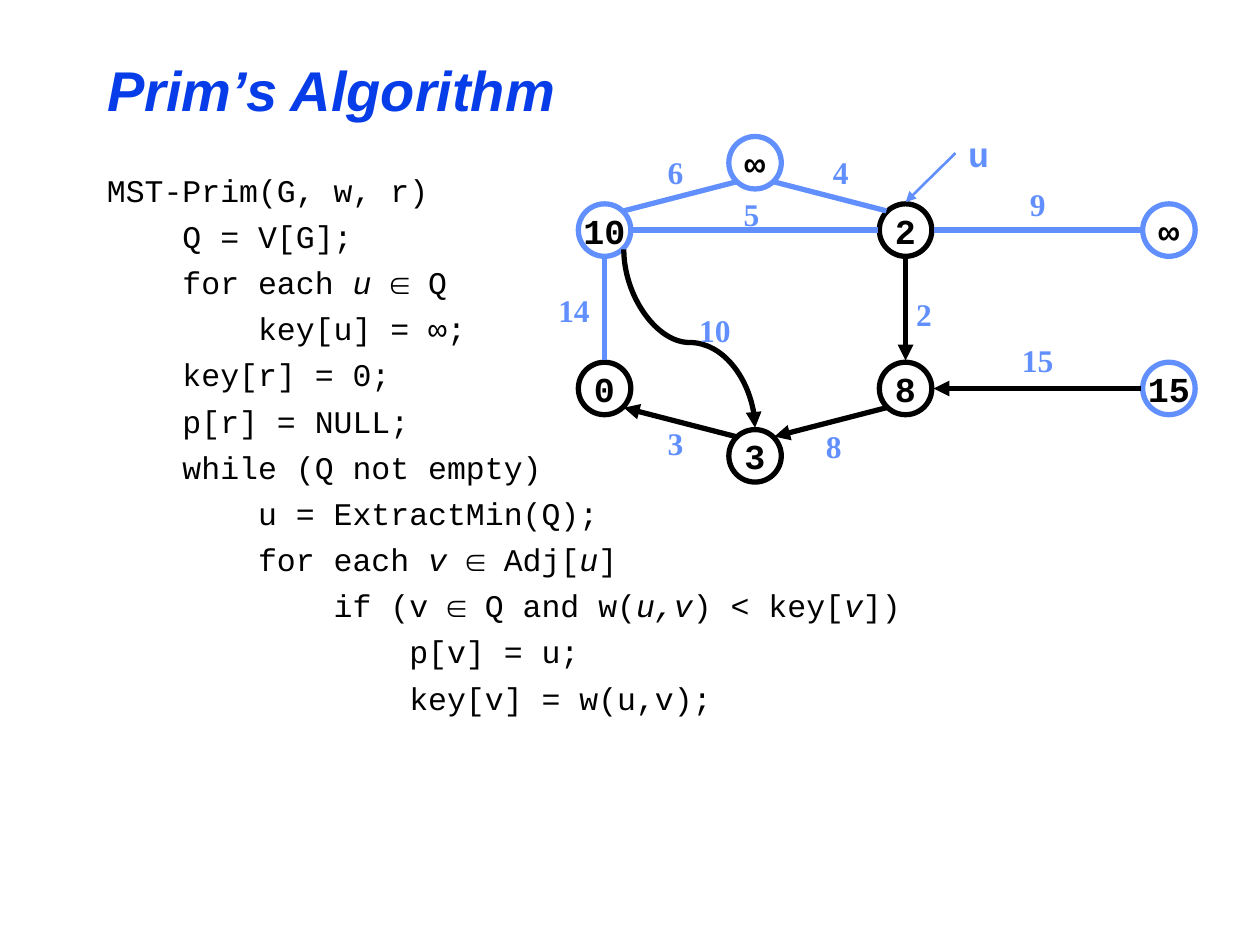
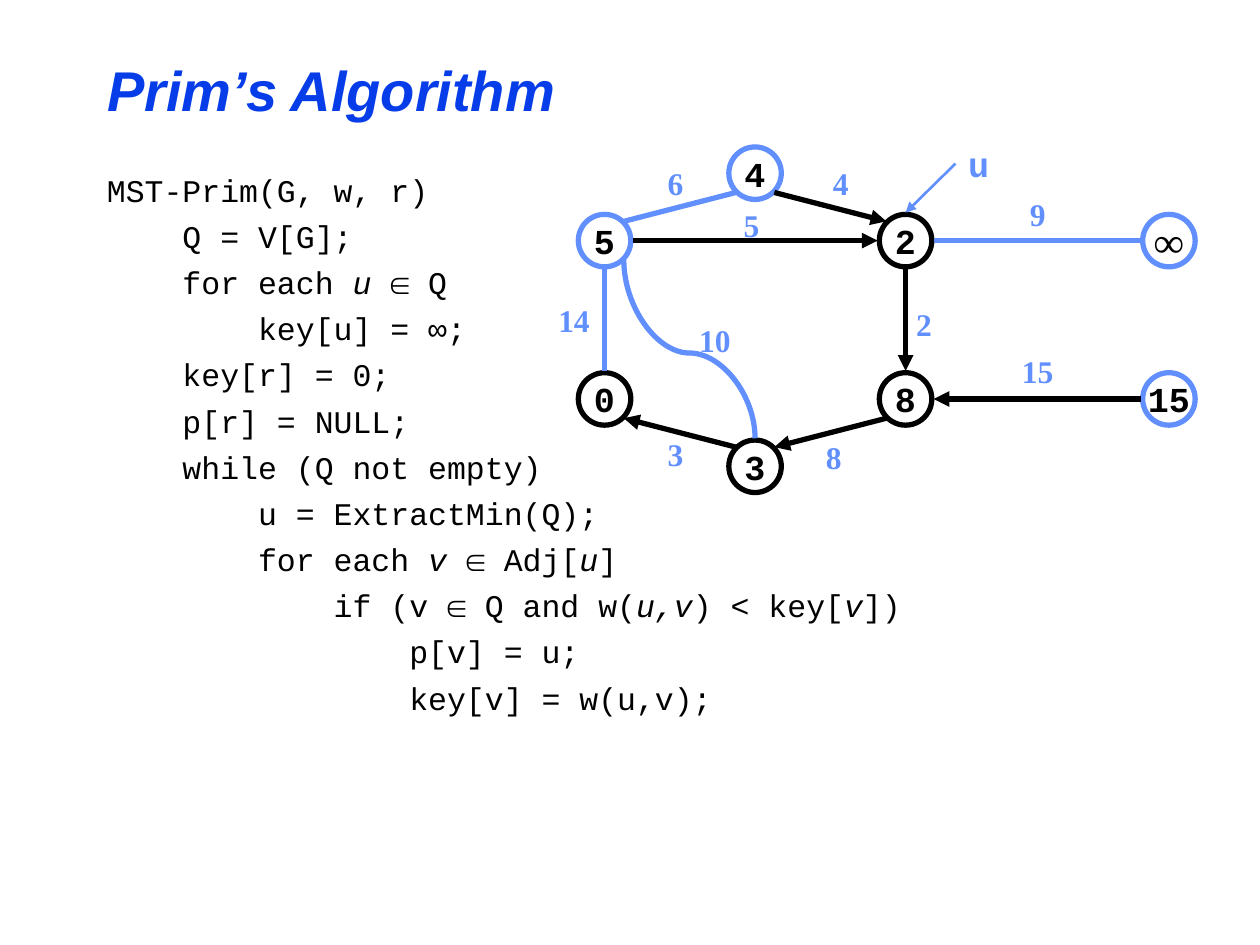
from lxml import etree
from pptx import Presentation
from pptx.dml.color import RGBColor
from pptx.enum import shapes, text
from pptx.oxml.ns import qn
from pptx.util import Pt

BLUE, BLACK, TITLE = "618FFD", "000000", "063DE8"
MONO, SERIF = "Courier New", "Times New Roman"
MARK = {"name": MONO, "size": 20, "bold": True}

# Asterisks enclose italic parts.
CODE = [
    "MST-Prim(G, w, r)",
    "    Q = V[G];",
    "    for each *u *∈ Q",
    "        key[u] = ∞;",
    "    key[r] = 0;",
    "    p[r] = NULL;",
    "    while (Q not empty)",
    "        u = ExtractMin(Q);",
    "        for each *v *∈ Adj[*u*]",
    "            if (v ∈ Q and w(*u,v*) < key[*v*])",
    "                p[v] = u;",
    "                key[v] = w(u,v);",
]

# Node centres
NODES = {
    "a": (345.5, 131.5), "b": (517.5, 131.5), "c": (668, 131.5),
    "r": (345.5, 222), "d": (517.5, 222), "e": (668, 222),
    "f": (431.5, 260.5), "t": (431.5, 93),
}
DONE = "brdf"

# Child and its side, parent and its side, weight, label centre x and top
EDGES = [
    ("t", (1, 1), "b", (-1, -1), "4", 480.5, 84),
    ("t", (-1, 1), "a", (1, -1), "6", 386, 84),
    ("a", (1, 0), "b", (-1, 0), "5", 429.5, 108),
    ("a", (0, 1), "r", (0, -1), "14", 328, 162.5),
    ("f", (-1, -1), "r", (1, 1), "3", 386, 239),
    ("d", (-1, 1), "f", (1, -1), "8", 476.5, 240.5),
    ("b", (0, 1), "d", (0, -1), "2", 528, 165),
    ("c", (-1, 0), "b", (1, 0), "9", 593, 102),
    ("e", (-1, 0), "d", (1, 0), "15", 593, 191.5),
    ("a", (1, 1), "f", (0, -1), "10", 408.5, 174),
]
CURVED = "af"

SLIDES = [
    {"shift": 0, "links": ["fr", "df", "bd", "ed", "af"],
     "keys": {"a": "10", "b": "2", "c": "∞", "r": "0",
              "d": "8", "e": "15", "f": "3", "t": "∞"},
     "fonts": {}},
    {"shift": 6, "links": ["tb", "ab", "fr", "df", "bd", "ed"],
     "keys": {"a": "5", "b": "2", "c": "∞", "r": "0",
              "d": "8", "e": "15", "f": "3", "t": "4"},
     "fonts": {"c": {"name": SERIF, "size": 24}}},
]


def paint(hue):
    return RGBColor.from_string(hue)


def style(font, hue, **form):
    font.color.rgb = paint(hue)
    for key, value in form.items():
        setattr(font, key, Pt(value) if key == "size" else value)


def place(shape, *box):
    for key, value in zip(("left", "top", "width", "height"), box):
        setattr(shape, key, Pt(value))


def write(frame, words, hue, **form):
    """Fill a frame with one centred line."""
    para = frame.paragraphs[0]
    para.alignment = text.PP_ALIGN.CENTER
    run = para.add_run()
    run.text = words
    style(run.font, hue, **form)


def add_box(slide, *box):
    return slide.shapes.add_textbox(*map(Pt, box)).text_frame


def add_title(slide):
    title = slide.shapes.title
    place(title, 54, 24, 612, 54)
    frame = title.text_frame
    frame.text = "Prim’s Algorithm"
    frame.auto_size = text.MSO_AUTO_SIZE.NONE
    frame.vertical_anchor = text.MSO_ANCHOR.MIDDLE
    para = frame.paragraphs[0]
    para.alignment = text.PP_ALIGN.LEFT
    style(para.runs[0].font, TITLE, name="Arial", size=32, bold=True, italic=True)


def add_code(slide):
    frame = add_box(slide, 54, 90, 618, 432)
    frame.word_wrap = True
    frame.margin_top = Pt(7.5)
    for row, line in enumerate(CODE):
        para = frame.add_paragraph() if row else frame.paragraphs[0]
        para.space_before = Pt(4.8 if row else 0)
        for part, words in enumerate(line.split("*")):
            if words:
                run = para.add_run()
                run.text = words
                style(run.font, BLACK, name=MONO, size=18, italic=part % 2 == 1)


def add_node(slide, x, y, key, hue, form):
    node = slide.shapes.add_shape(shapes.MSO_SHAPE.OVAL, *map(Pt, (x - 15, y - 15, 30, 30)))
    node.shadow.inherit = False
    node.fill.background()
    node.line.color.rgb = paint(hue)
    node.line.width = Pt(3)
    frame = node.text_frame
    frame.word_wrap = False
    frame.vertical_anchor = text.MSO_ANCHOR.MIDDLE
    write(frame, key, BLACK, **{**MARK, **form})


def port(name, side, shift):
    """Point where an edge meets the rim of a node."""
    x, y = NODES[name]
    reach = 11 if all(side) else 16
    return x + reach * side[0], y + reach * side[1] + shift


def add_line(slide, start, end, hue, width, arrow, kind="STRAIGHT"):
    line = slide.shapes.add_connector(
        shapes.MSO_CONNECTOR[kind], *map(Pt, (*start, *end)))
    line.line.color.rgb = paint(hue)
    line.line.width = Pt(width)
    props = line._element.spPr
    etree.SubElement(props, qn("a:effectLst"))
    if arrow:
        etree.SubElement(props.find(qn("a:ln")), qn("a:tailEnd"), type="triangle")
    return line


def bend(line, start, end):
    """Turn a curved connector so that it leaves and arrives vertically."""
    wide, high = end[0] - start[0], end[1] - start[1]
    place(line, start[0] + (wide - high) / 2, start[1] + (high - wide) / 2, high, wide)
    props = line._element.spPr
    frame = props.find(qn("a:xfrm"))
    frame.set("rot", "16200000")
    frame.set("flipH", "1")
    geom = props.find(qn("a:prstGeom"))
    guides = geom.find(qn("a:avLst"))
    if guides is None:
        guides = etree.SubElement(geom, qn("a:avLst"))
    etree.SubElement(guides, qn("a:gd"), name="adj1", fmla="val 52200")


def add_graph(slide, state):
    shift = state["shift"]
    for name, (x, y) in NODES.items():
        add_node(slide, x, y + shift, state["keys"][name],
                 BLACK if name in DONE else BLUE, state["fonts"].get(name, {}))
    for child, out, parent, into, *_ in EDGES:
        start, end = port(child, out, shift), port(parent, into, shift)
        link = child + parent
        tree = link in state["links"]
        curved = link == CURVED
        line = add_line(slide, start, end, BLACK if tree else BLUE, 3, tree,
                        "CURVE" if curved else "STRAIGHT")
        if curved:
            bend(line, start, end)
    for *_, weight, mid, top in EDGES:
        wide = 14.4 + 9 * len(weight)
        frame = add_box(slide, mid - wide / 2, top + shift, wide, 29)
        frame.word_wrap = False
        frame.auto_size = text.MSO_AUTO_SIZE.SHAPE_TO_FIT_TEXT
        write(frame, weight, BLUE, name=SERIF, size=18, bold=True)
    frame = add_box(slide, 546, 72 + shift, 26.5, 31)
    frame.word_wrap = True
    write(frame, "u", BLUE, **MARK)
    add_line(slide, (546, 87.5 + shift), (517.5, 115.5 + shift), BLUE, 1.5, True)


def main():
    deck = Presentation()
    deck.slide_width, deck.slide_height = Pt(720), Pt(540)
    for state in SLIDES:
        slide = deck.slides.add_slide(deck.slide_layouts[5])
        add_title(slide)
        add_code(slide)
        add_graph(slide, state)
    deck.save("out.pptx")


if __name__ == "__main__":
    main()
